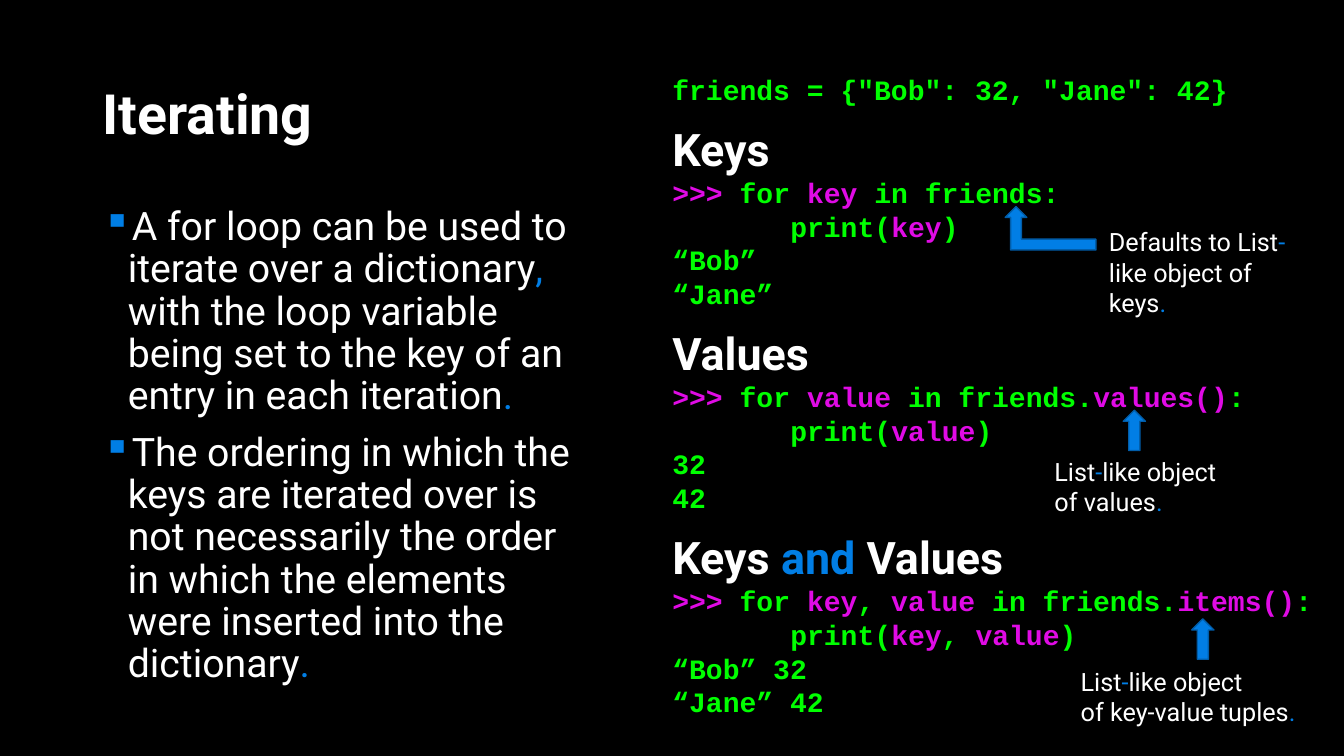
from lxml import etree
from pptx import Presentation
from pptx.dml.color import RGBColor
from pptx.enum.shapes import MSO_SHAPE as SHAPE
from pptx.enum.text import MSO_ANCHOR as ANCHOR, MSO_AUTO_SIZE as AUTO
from pptx.oxml.ns import qn
from pptx.util import Inches, Pt

COLORS = {
    "background": "000000",
    "text": "FFFFFF",
    "accent": "017EE5",
    "bullet": "007EE5",
    "outline": "015DA9",
    "code": "00FF00",
    "highlight": "E00BE5",
}
BODY_FONT, CODE_FONT = "Roboto", "Courier New"
CODE_INDENT = Inches(1.17)
PROMPT = ("highlight", ">>> ")

BULLETS = [
    [("text", "A for loop can be used to iterate over a dictionary"), ("accent", ","),
     ("text", " with the loop variable being set to the key of an entry in each iteration"),
     ("accent", ".")],
    [("text", "The ordering in which the keys are iterated over is not necessarily "
              "the order in which the elements were inserted into the dictionary"),
     ("accent", ".")],
]

# Each section: heading, loop line, loop body, output lines
SECTIONS = [
    ([("text", "Keys")],
     [PROMPT, ("code", "for "), ("highlight", "key"), ("code", " in friends:")],
     [("code", "print("), ("highlight", "key"), ("code", ")")],
     ["“Bob”", "“Jane”"]),
    ([("text", "Values")],
     [PROMPT, ("code", "for "), ("highlight", "value"), ("code", " in friends."),
      ("highlight", "values()"), ("code", ":")],
     [("code", "print("), ("highlight", "value"), ("code", ")")],
     ["32", "42"]),
    ([("text", "Keys "), ("accent", "and"), ("text", " Values")],
     [PROMPT, ("code", "for "), ("highlight", "key"), ("code", ", "),
      ("highlight", "value"), ("code", " in friends."),
      ("highlight", "items()"), ("code", ":")],
     [("code", "print("), ("highlight", "key"), ("code", ", "),
      ("highlight", "value"), ("code", ")")],
     ["“Bob” 32", "“Jane” 42"]),
]

LIST_HYPHEN = [("text", "List"), ("accent", "-"), ("text", "like object")]
CALLOUTS = [
    ((10.9, 2.2, 2.13, 1.01), True,
     [[("text", "Defaults to List"), ("accent", "-"),
       ("text", "like object of keys"), ("accent", ".")]]),
    ((10.36, 4.48, 1.81, 0.71), False,
     [LIST_HYPHEN, [("text", "of values"), ("accent", ".")]]),
    ((10.62, 6.56, 2.35, 0.71), False,
     [LIST_HYPHEN, [("text", "of key-value tuples"), ("accent", ".")]]),
]


def rgb(name):
    return RGBColor.from_string(COLORS[name])


def add_text_box(slide, box, wrap=True, auto_size=AUTO.NONE):
    tf = slide.shapes.add_textbox(*map(Inches, box)).text_frame
    tf.word_wrap = wrap
    tf.auto_size = auto_size
    return tf


def add_line(tf, runs, size, font=BODY_FONT, bold=False):
    """Add one paragraph of (colour, text) runs, using the empty first one."""
    p = tf.paragraphs[0]
    if p.runs:
        p = tf.add_paragraph()
    for color, text in runs:
        r = p.add_run()
        r.text = text
        r.font.name = font
        r.font.size = Pt(size)
        r.font.bold = bold
        r.font.color.rgb = rgb(color)
    return p


def indent(p, left, first=0):
    pPr = p._p.get_or_add_pPr()
    pPr.set("marL", str(left))
    pPr.set("indent", str(first))
    return pPr


def add_bullet(tf, runs):
    p = add_line(tf, runs, 28)
    p.line_spacing = 0.9
    p.space_before = Pt(10)
    pPr = indent(p, Inches(0.25), -Inches(0.25))
    color = etree.SubElement(pPr, qn("a:buClr"))
    etree.SubElement(color, qn("a:srgbClr"), val=COLORS["bullet"])
    etree.SubElement(pPr, qn("a:buChar"), char="▪")


def add_code(tf, runs):
    return add_line(tf, runs, 20, CODE_FONT, bold=True)


def add_section(tf, heading, loop, body, output):
    p = add_line(tf, heading, 32, bold=True)
    p.space_before = Pt(11.3)
    add_code(tf, loop)
    indent(add_code(tf, body), CODE_INDENT)
    for text in output:
        add_code(tf, [("code", text)])


def add_arrow(slide, kind, box, flip=False):
    sp = slide.shapes.add_shape(kind, *map(Inches, box))
    sp.shadow.inherit = False
    sp.fill.solid()
    sp.fill.fore_color.rgb = rgb("accent")
    sp.line.color.rgb = rgb("outline")
    sp.line.width = Pt(1)
    if flip:
        sp._element.spPr.find(qn("a:xfrm")).set("flipH", "1")


def main():
    prs = Presentation()
    prs.slide_width, prs.slide_height = Inches(13.33), Inches(7.5)
    slide = prs.slides.add_slide(prs.slide_layouts[6])
    slide.background.fill.solid()
    slide.background.fill.fore_color.rgb = rgb("background")

    title = add_text_box(slide, (0.92, 0.8, 11.5, 0.72))
    title.vertical_anchor = ANCHOR.MIDDLE
    add_line(title, [("text", "Iterating")], 39.6, bold=True).line_spacing = 0.9

    bullets = add_text_box(slide, (0.92, 2, 5.1, 5.29))
    for runs in BULLETS:
        add_bullet(bullets, runs)

    code = add_text_box(slide, (6.57, 0.67, 6.6, 6.77), auto_size=AUTO.SHAPE_TO_FIT_TEXT)
    add_code(code, [("code", 'friends = {"Bob": 32, "Jane": 42}')])
    for section in SECTIONS:
        add_section(code, *section)

    add_arrow(slide, SHAPE.BENT_UP_ARROW, (9.97, 2.05, 0.9, 0.43), flip=True)
    for left, top in [(11.14, 4.07), (11.82, 6.14)]:
        add_arrow(slide, SHAPE.UP_ARROW, (left, top, 0.22, 0.4))
    for box, wrap, lines in CALLOUTS:
        tf = add_text_box(slide, box, wrap, AUTO.SHAPE_TO_FIT_TEXT)
        for runs in lines:
            add_line(tf, runs, 18)

    prs.save("out.pptx")


if __name__ == "__main__":
    main()
